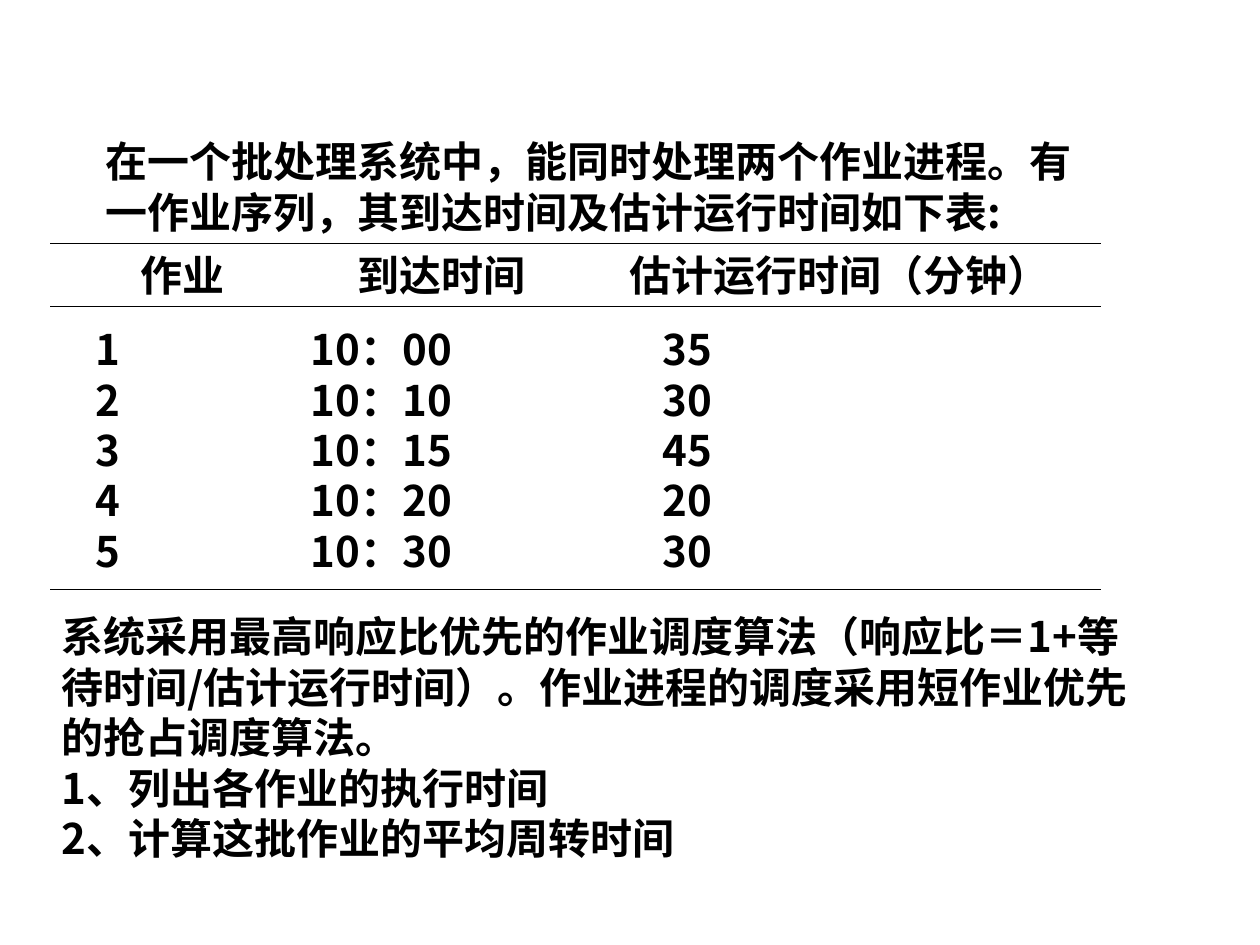
from dataclasses import dataclass

from pptx import Presentation
from pptx.dml.color import RGBColor
from pptx.enum.shapes import MSO_CONNECTOR as Conn
from pptx.oxml.ns import qn
from pptx.util import Inches, Pt
from lxml.etree import SubElement


@dataclass(frozen=True)
class Theme:
    ink: RGBColor = RGBColor(0, 0, 0)
    font: str = "Noto Sans CJK SC"
    size: Pt = Pt(24)
    rule: Pt = Pt(0.75)


theme = Theme()
deck = Presentation()
deck.slide_width, deck.slide_height = Inches(10), Inches(7.5)
slide = deck.slides.add_slide(deck.slide_layouts[6])


def add_text(box, lines, stops=()):
    """Add a text box with one paragraph per line; stops are tab stops in inches."""
    frame = slide.shapes.add_textbox(*map(Inches, box)).text_frame
    frame.word_wrap = True
    for i, line in enumerate(lines):
        para = frame.add_paragraph() if i else frame.paragraphs[0]
        para.text = line
        font = para.font
        font.name, font.size, font.bold = theme.font, theme.size, True
        font.color.rgb = theme.ink
        props = para._p.get_or_add_pPr()
        default = props.find(qn("a:defRPr"))
        east = default.makeelement(qn("a:ea"), {"typeface": theme.font})
        default.find(qn("a:latin")).addnext(east)
        if stops:
            tabs = props.makeelement(qn("a:tabLst"), {})
            default.addprevious(tabs)
            for stop in stops:
                SubElement(tabs, qn("a:tab"), pos=str(Inches(stop)), algn="l")


# Introduction
add_text((0.74, 1.03, 8.18, 0.9),
         ["在一个批处理系统中，能同时处理两个作业进程。有一作业序列，其到达时间及估计运行时间如下表:"])

# Job list between ruled lines
head = ["作业", "到达时间", "估计运行时间（分钟）"]
jobs = [
    ("1", "10：00", "35"),
    ("2", "10：10", "30"),
    ("3", "10：15", "45"),
    ("4", "10：20", "20"),
    ("5", "10：30", "30"),
]
add_text((1.02, 1.93, 7.5, 0.5), ["\t".join(head)], (1.72, 3.88))
add_text((0.66, 2.52, 6.24, 2.1), ["\t".join(job) for job in jobs], (1.71, 4.5))

for y in (1.93, 2.43, 4.68):
    rule = slide.shapes.add_connector(
        Conn.STRAIGHT, Inches(0.4), Inches(y), Inches(8.74), Inches(y))
    rule.line.color.rgb = theme.ink
    rule.line.width = theme.rule
    SubElement(rule._element.spPr, qn("a:effectLst"))

# Scheduling rules and questions
add_text((0.39, 4.8, 8.68, 2.1), [
    "系统采用最高响应比优先的作业调度算法（响应比＝1+等待时间/估计运行时间）。作业进程的调度采用短作业优先的抢占调度算法。",
    "1、列出各作业的执行时间",
    "2、计算这批作业的平均周转时间",
])

deck.save("out.pptx")
